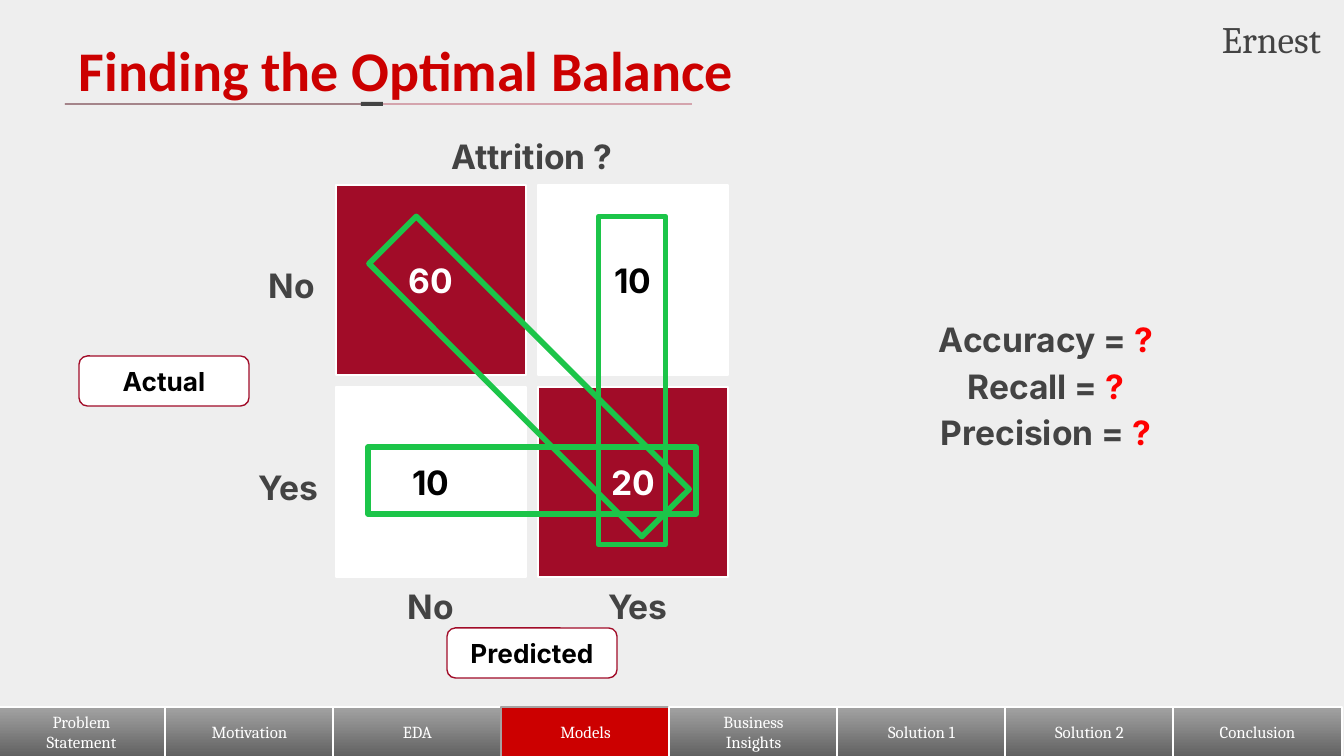
"""Build the confusion matrix slide with its metric questions and section tabs."""
from lxml.etree import SubElement
from pptx import Presentation
from pptx.dml.color import RGBColor
from pptx.enum.shapes import MSO_CONNECTOR as Connector, MSO_SHAPE as Shape
from pptx.enum.text import MSO_ANCHOR as Anchor, PP_ALIGN as Align
from pptx.oxml.ns import qn
from pptx.util import Pt

COLORS = {
    "background": "EEEEEE", "white": "FFFFFF", "black": "000000",
    "red": "CC0000", "crimson": "A10C28", "bright": "FF0000",
    "green": "1CC549", "text": "434343", "tab_edge": "A6A1A1",
    "tab_top": "A2A2A2", "tab_bottom": "616161",
}
TABS = ["Problem\nStatement", "Motivation", "EDA", "Models",
        "Business\nInsights", "Solution 1", "Solution 2", "Conclusion"]
ACTIVE_TAB = "Models"
MATRIX = [["60", "10"], ["10", "20"]]
AXES = [("Actual", 79, 356), ("Predicted", 447, 628)]
LABELS = [
    ("Yes", 587, 567, 102, 74), ("No", 387, 567, 88, 67),
    ("Yes", 241, 448, 95, 74), ("No", 248, 246, 88, 67),
    ("Attrition ?", 407, 117, 250, 67),
]
METRICS = ["Accuracy", "Recall", "Precision"]
HIGHLIGHTS = [(468, 347, 328, 90), (368, 447, 328, 0), (336, 343, 386, 45)]
RULES = [(65, 692, "crimson"), (65, 361, "text")]

TAB_LEFT, TAB_TOP, TAB_PITCH, TAB_WIDTH, TAB_HEIGHT = -3, 707, 168, 169, 50
CELL_LEFT, CELL_TOP, CELL_PITCH, CELL_SIZE = 336, 185, 202, 190
SCALE = 914400 / 134.4
WIDE, NARROW = (13, 13), (10, 5)


def px(*lengths):
    return [round(length * SCALE) for length in lengths]


def rgb(name):
    return RGBColor.from_string(COLORS[name])


def write(box, text, size, font, color, bold=True, align=Align.CENTER,
          anchor=Anchor.TOP, insets=WIDE, spacing=None):
    frame = box.text_frame
    frame.word_wrap = True
    frame.vertical_anchor = anchor
    side, edge = px(*insets)
    frame.margin_left = frame.margin_right = side
    frame.margin_top = frame.margin_bottom = edge
    for index, line in enumerate(text.split("\n")):
        para = frame.paragraphs[0] if index == 0 else frame.add_paragraph()
        para.alignment = align
        para.line_spacing = spacing
        para.font.size = Pt(size)
        para.font.name = font
        para.font.bold = bold
        para.font.color.rgb = rgb(color)
        para.add_run().text = line
    return frame


def add_text(page, bounds, text, size, font, color, **options):
    box = page.shapes.add_textbox(*px(*bounds))
    return write(box, text, size, font, color, **options)


def add_block(page, kind, bounds, fill, edge, weight=0.75):
    block = page.shapes.add_shape(kind, *px(*bounds))
    block.shadow.inherit = False
    if fill:
        block.fill.solid()
        block.fill.fore_color.rgb = rgb(fill)
    else:
        block.fill.background()
    if edge:
        block.line.color.rgb = rgb(edge)
        block.line.width = Pt(weight)
    else:
        block.line.fill.background()
    return block


def add_tabs(page):
    for index, name in enumerate(TABS):
        active = name == ACTIVE_TAB
        bounds = (TAB_LEFT + index * TAB_PITCH, TAB_TOP, TAB_WIDTH, TAB_HEIGHT)
        tab = add_block(page, Shape.SNIP_1_RECTANGLE, bounds, "red",
                        "tab_edge" if active else "white")
        tab.adjustments[0] = 0
        if not active:
            tab.fill.gradient()
            tab.fill.gradient_angle = 270
            for stop, color in zip(tab.fill.gradient_stops, ("tab_top", "tab_bottom")):
                stop.color.rgb = rgb(color)
        write(tab, name, 9, "Cambria", "white", bold=False,
              anchor=Anchor.MIDDLE, insets=NARROW)


def add_matrix(page):
    for row, values in enumerate(MATRIX):
        for column, value in enumerate(values):
            correct = row == column
            bounds = (CELL_LEFT + column * CELL_PITCH, CELL_TOP + row * CELL_PITCH,
                      CELL_SIZE, CELL_SIZE)
            cell = add_block(page, Shape.RECTANGLE, bounds,
                             "crimson" if correct else "white", "white")
            write(cell, value, 18, "Inter", "white" if correct else "black",
                  anchor=Anchor.MIDDLE)
    for name, left, top in AXES:
        axis = add_block(page, Shape.ROUNDED_RECTANGLE, (left, top, 170, 50),
                         "white", "crimson")
        write(axis, name, 14, "Inter", "black", anchor=Anchor.MIDDLE)
    for name, *bounds in LABELS:
        add_text(page, bounds, name, 18, "Inter", "text", spacing=1.15)


def add_metrics(page):
    lines = "\n".join(f"{name} = " for name in METRICS)
    frame = add_text(page, (809, 300, 474, 161), lines, 18, "Inter", "text", spacing=1.15)
    for para in frame.paragraphs:
        span = para.add_run()
        span.text = "?"
        span.font.color.rgb = rgb("bright")


def add_highlights(page):
    for left, top, width, angle in HIGHLIGHTS:
        ring = add_block(page, Shape.RECTANGLE, (left, top, width, 67), None, "green", 3)
        ring.rotation = angle


def add_heading(page):
    add_text(page, (66, 23, 1133, 85), "Finding the Optimal Balance", 30,
             "Calibri", "red", align=Align.LEFT)
    for start, end, color in RULES:
        rule = page.shapes.add_connector(Connector.STRAIGHT, *px(start, 104, end, 104))
        rule.line.color.rgb = rgb(color)
        rule.line.width = Pt(0.75)
        properties = rule._element.spPr
        paint = next(properties.iter(qn("a:srgbClr")))
        SubElement(paint, qn("a:alpha"), val="50000")
        SubElement(properties, qn("a:effectLst"))
    add_block(page, Shape.RECTANGLE, (361, 102, 22, 4), "text", None)
    add_text(page, (1141, 11, 190, 55), "Ernest", 20, "Cambria", "text",
             bold=False, align=Align.RIGHT, insets=NARROW)


def main():
    deck = Presentation()
    deck.slide_width, deck.slide_height = px(1344, 756)
    page = deck.slides.add_slide(deck.slide_layouts[6])
    page.background.fill.solid()
    page.background.fill.fore_color.rgb = rgb("background")
    add_tabs(page)
    add_matrix(page)
    add_metrics(page)
    add_highlights(page)
    add_heading(page)
    deck.save("out.pptx")


if __name__ == "__main__":
    main()
